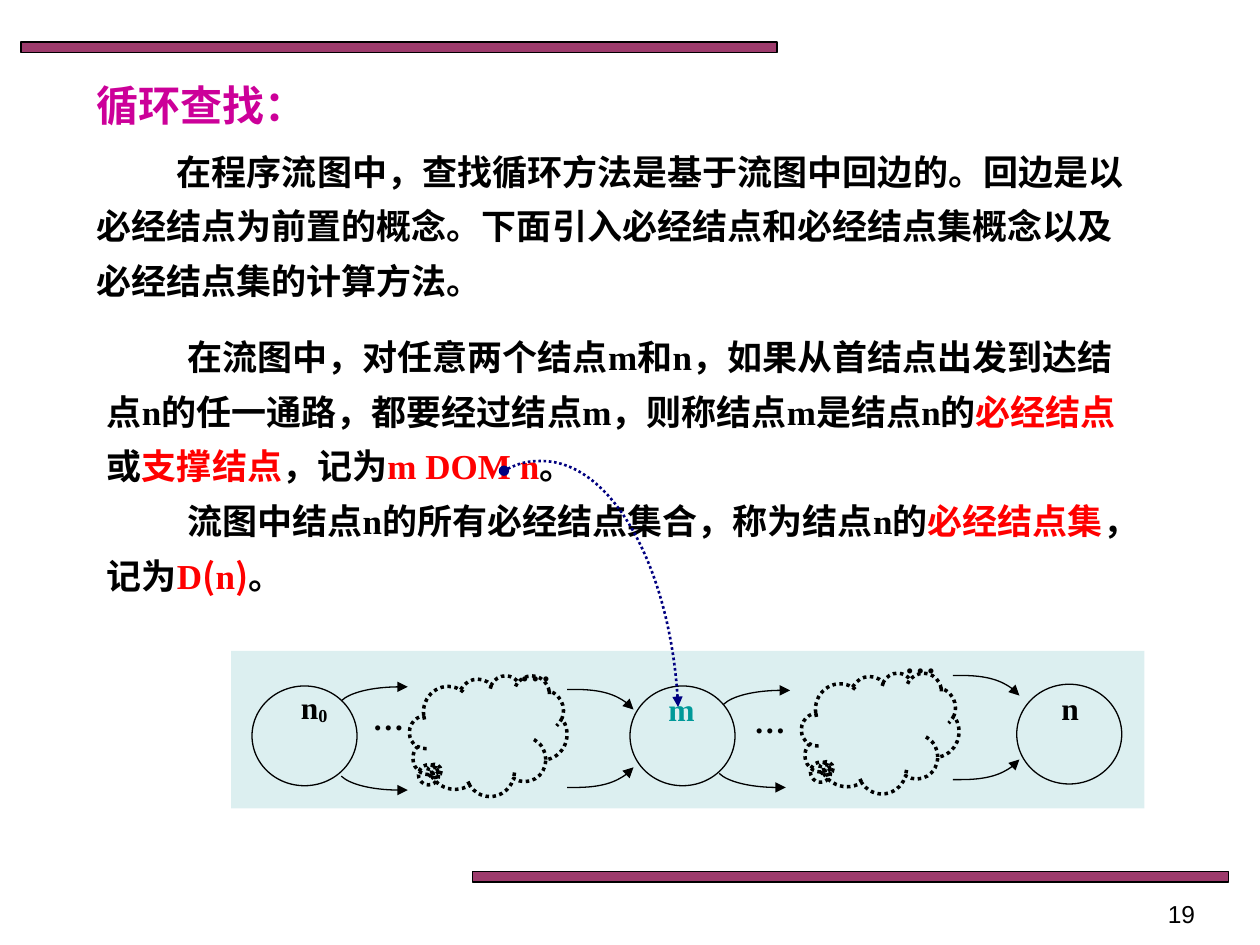
from lxml import etree
from pptx import Presentation
from pptx import util as u
from pptx.dml.color import RGBColor
from pptx.enum import dml, shapes as sh, text as tx
from pptx.oxml import ns

Pt = u.Pt
SERIF, SANS = "Times New Roman", "Noto Sans CJK SC"
BLACK, RED = "000000", "FF0000"


def rgb(code):
    """Turn a hex string into a colour."""
    return RGBColor.from_string(code)


def sub(node, tag, **attrs):
    """Add a drawing element below a node."""
    return etree.SubElement(node, ns.qn("a:" + tag), attrs)


def paint(shape, fill=None, alpha=100, line=None, width=0.75, dots=False):
    """Set the fill, outline and shadow of a shape."""
    shape.shadow.inherit = False
    if fill:
        shape.fill.solid()
        shape.fill.fore_color.rgb = rgb(fill)
        node = shape.element.xpath("./p:spPr/a:solidFill/a:srgbClr")[0]
        sub(node, "alpha", val=str(alpha * 1000))
    else:
        shape.fill.background()
    if not line:
        shape.line.fill.background()
        return
    shape.line.color.rgb = rgb(line)
    shape.line.width = Pt(width)
    if dots:
        shape.line.dash_style = dml.MSO_LINE.ROUND_DOT


def form(parent, kind, box, **style):
    """Draw a preset shape in a box."""
    shape = parent.add_shape(kind, *map(Pt, box))
    paint(shape, **style)
    return shape


def curve(parent, pts, head=None, tail=None, **style):
    """Draw an open Bezier curve with line ends."""
    pts = [(Pt(x), Pt(y)) for x, y in pts]
    pen = parent.build_freeform(*pts[0], scale=1.0)
    pen.add_line_segments(pts[1:], close=False)
    shape = pen.convert_to_shape()
    steps = shape.element.xpath(".//a:lnTo")
    for i in range(0, len(steps), 3):
        bend = etree.Element(ns.qn("a:cubicBezTo"))
        steps[i].addprevious(bend)
        for step in steps[i:i + 3]:
            bend.append(step[0])
            step.getparent().remove(step)
    paint(shape, **style)
    line = shape.line._get_or_add_ln()
    for tag, end in (("headEnd", head), ("tailEnd", tail)):
        if end:
            sub(line, tag, type=end)


def write(para, parts, size, bold=True):
    """Fill a paragraph with (text, colour, font) runs."""
    for words, color, face in parts:
        run = para.add_run()
        run.text = words
        font = run.font
        font.size, font.bold, font.name = Pt(size), bold, face
        font.color.rgb = rgb(color)
        sub(run.font._element, "ea", typeface=SANS)


def label(parent, box, parts, size=18, align=tx.PP_ALIGN.CENTER, bold=True):
    """Place a one-line text box."""
    frame = parent.add_textbox(*map(Pt, box)).text_frame
    frame.word_wrap = True
    para = frame.paragraphs[0]
    para.alignment = align
    write(para, parts, size, bold)
    return para


def prose(slide, box, paras):
    """Place a text box of indented paragraphs."""
    frame = slide.shapes.add_textbox(*map(Pt, box)).text_frame
    frame.word_wrap = True
    for i, parts in enumerate(paras):
        para = frame.add_paragraph() if i else frame.paragraphs[0]
        para._p.get_or_add_pPr().set("indent", str(Pt(46)))
        para.line_spacing = 1.3
        write(para, parts, 20)


def heading(slide, box, words):
    """Move and format the title placeholder."""
    title = slide.shapes.title
    title.left, title.top, title.width, title.height = map(Pt, box)
    frame = title.text_frame
    frame.auto_size = tx.MSO_AUTO_SIZE.NONE
    frame.vertical_anchor = tx.MSO_ANCHOR.TOP
    frame.paragraphs[0].alignment = tx.PP_ALIGN.LEFT
    write(frame.paragraphs[0], [(words, "CC0099", SERIF)], 24)


def arrow(parent, x, y, w, h, **ends):
    """Draw an arc that starts flat and bends by w and h."""
    rule = ((0, 0), (0.04, 0), (0.08, 0), (0.12, 0),
            (0.52, 0), (0.87, 0.4), (1, 1))
    pts = [(x + w * a, y + h * b) for a, b in rule]
    curve(parent, pts, line=BLACK, **ends)


def graph(slide, box):
    """Draw the flow graph from n0 through m to n."""
    group = slide.shapes.add_group_shape().shapes
    left, top = box[:2]
    kind = sh.MSO_SHAPE
    form(group, kind.RECTANGLE, box, fill="BBE0E3", alpha=50)
    nodes = ((12, 20, 8, -2.5, "n", BLACK), (228, 20, 2, -1, "m", "009999"),
             (449, 19, 3, -1, "n", BLACK))
    names = []
    for x, y, dx, dy, name, color in nodes:
        form(group, kind.OVAL, (left + x, top + y, 60, 57), line=BLACK)
        spot = (left + x + dx, top + y + dy, 55, 36)
        names.append(label(group, spot, [(name, color, SERIF)]))
    write(names[0], [("0", BLACK, SERIF)], 18)
    names[0].runs[1].font._element.set("baseline", "-10000")
    for x, y, h in ((101, 20.5, 8), (101, 79.5, -8),
                    (319.5, 22.5, 8), (317, 78, -8)):
        arrow(group, left + x, top + y, -38, h, head="triangle")
    for x, y, h in ((192, 78, -11.5), (192, 22, 11.5),
                    (412.5, 73.5, -11.5), (412.5, 14, 11.5)):
        arrow(group, left + x, top + y, 38, h, tail="triangle")
    for x, y in ((72, 24), (290, 25.5), (156, -4), (376, -8.5)):
        label(group, (left + x, top + y, 36, 36), [("…", BLACK, SERIF)])
    for x, y in ((102, 14), (326, 12.5)):
        cloud = form(group, kind.CLOUD_CALLOUT, (left + x, top + y, 90, 69),
                     line=BLACK, width=2, dots=True)
        cloud.adjustments[0], cloud.adjustments[1] = -0.34, 0.29


def main():
    """Build the slide and save it."""
    deck = Presentation()
    deck.slide_width, deck.slide_height = Pt(720), Pt(540)
    slide = deck.slides.add_slide(deck.slide_layouts[5])
    for x, y in ((12, 24), (270, 498)):
        form(slide.shapes, sh.MSO_SHAPE.RECTANGLE, (x, y, 432, 6),
             fill="993366", alpha=96, line=BLACK)
    heading(slide, (48, 42, 613, 54), "循环查找：")
    prose(slide, (48, 75, 612, 101.5), [[(
        "在程序流图中，查找循环方法是基于流图中回边的。回边是以必经结点为前置的概念。"
        "下面引入必经结点和必经结点集概念以及必经结点集的计算方法。", BLACK, SERIF)]])
    prose(slide, (54, 181, 606, 165), [
        [("在流图中，对任意两个结点m和n，如果从首结点出发到达结点n的任一通路，"
          "都要经过结点m，则称结点m是结点n的", BLACK, SERIF),
         ("必经结点", RED, SERIF), ("或", BLACK, SERIF),
         ("支撑结点", RED, SERIF), ("，记为", BLACK, SERIF),
         ("m DOM n", RED, SERIF), ("。", BLACK, SERIF)],
        [("流图中结点n的所有必经结点集合，称为结点n的", BLACK, SERIF),
         ("必经结点集", RED, SERIF), ("，记为", BLACK, SERIF),
         ("D", RED, SERIF), ("(", RED, SANS), ("n", RED, SERIF),
         (")", RED, SANS), ("。", BLACK, SERIF)]])
    graph(slide, (132, 372, 522, 90))
    curve(slide.shapes, [(288, 269), (294.5, 265.5), (301, 263.5),
                         (307.5, 263.5), (348, 261.5), (384, 324.5),
                         (387.5, 404)], head="oval", tail="triangle",
          line="000080", width=1.5, dots=True)
    label(slide.shapes, (522, 510, 168, 19.5), [("19", BLACK, "Arial")],
          14, tx.PP_ALIGN.RIGHT, False)
    deck.save("out.pptx")


if __name__ == "__main__":
    main()
